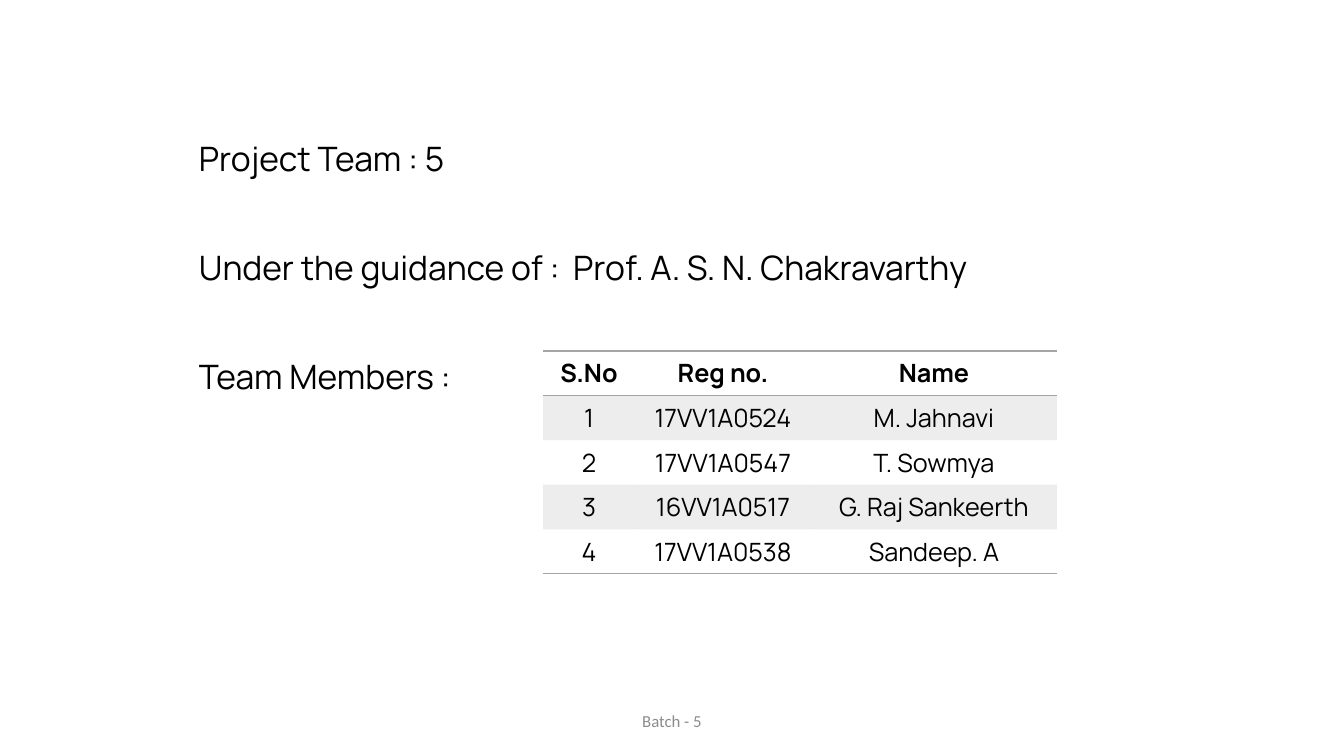
from lxml import etree
from pptx import Presentation
from pptx.dml.color import RGBColor
from pptx.enum.text import MSO_ANCHOR, PP_ALIGN
from pptx.oxml.ns import qn
from pptx.util import Pt

LEFT, CENTER = PP_ALIGN.LEFT, PP_ALIGN.CENTER
TOP, MIDDLE = MSO_ANCHOR.TOP, MSO_ANCHOR.MIDDLE
SCALE = 914400 / 100.8
COLORS = {"text": "000000", "rule": "A5A5A5", "footer": "8C8C8C"}
BAND_ALPHA = 20000
RULE_WIDTH = Pt(1)

DETAILS = [
    "Project Team : 5",
    "Under the guidance of :  Prof. A. S. N. Chakravarthy",
    "Team Members :",
]
MEMBERS = [
    ("S.No", "Reg no.", "Name"),
    ("1", "17VV1A0524", "M. Jahnavi"),
    ("2", "17VV1A0547", "T. Sowmya"),
    ("3", "16VV1A0517", "G. Raj Sankeerth"),
    ("4", "17VV1A0538", "Sandeep. A"),
]


def px(n):
    return round(n * SCALE)


def write(tf, text, size=24, font="Manrope", color="text", bold=False, align=LEFT):
    p = tf.paragraphs[0]
    p.alignment = align
    r = p.add_run()
    r.text = text
    r.font.size, r.font.name, r.font.bold = Pt(size), font, bold
    r.font.color.rgb = RGBColor.from_string(COLORS[color])


def text_box(s, box, text, anchor=TOP, **fmt):
    tf = s.shapes.add_textbox(*map(px, box)).text_frame
    tf.word_wrap = True
    tf.vertical_anchor = anchor
    write(tf, text, **fmt)


def set_borders(cell, ruled):
    tcPr = cell._tc.get_or_add_tcPr()
    for i, side in enumerate(("lnL", "lnR", "lnT", "lnB")):
        ln = etree.Element(qn("a:" + side))
        if side in ruled:
            ln.set("w", str(RULE_WIDTH))
            fill = etree.SubElement(ln, qn("a:solidFill"))
            etree.SubElement(fill, qn("a:srgbClr"), val=COLORS["rule"])
        else:
            etree.SubElement(ln, qn("a:noFill"))
        tcPr.insert(i, ln)


def set_band(cell, banded):
    if not banded:
        cell.fill.background()
        return
    cell.fill.solid()
    cell.fill.fore_color.rgb = RGBColor.from_string(COLORS["rule"])
    clr = cell._tc.tcPr.find(qn("a:solidFill")).find(qn("a:srgbClr"))
    etree.SubElement(clr, qn("a:alpha"), val=str(BAND_ALPHA))


def project_details(s, x, y, step, widths):
    for i, (text, w) in enumerate(zip(DETAILS, widths)):
        text_box(s, (x, y + i * step, w, 50), text)


def member_table(s, x, y, col_widths, row_h):
    last = len(MEMBERS) - 1
    box = (x, y, sum(col_widths), row_h * len(MEMBERS))
    table = s.shapes.add_table(len(MEMBERS), len(col_widths), *map(px, box)).table
    table.first_row = table.horz_banding = False
    for col, w in zip(table.columns, col_widths):
        col.width = px(w)
    for i, values in enumerate(MEMBERS):
        table.rows[i].height = px(row_h)
        ruled = {0: ("lnT", "lnB"), 1: ("lnT",), last: ("lnB",)}.get(i, ())
        for j, value in enumerate(values):
            cell = table.cell(i, j)
            cell.vertical_anchor = MIDDLE
            write(cell.text_frame, value, size=18, bold=i == 0, align=CENTER)
            set_band(cell, i % 2 == 1)
            set_borders(cell, ruled)


def footer(s, box):
    text_box(s, box, "Batch - 5", anchor=MIDDLE, size=12, font="Calibri",
             color="footer", align=CENTER)


prs = Presentation()
prs.slide_width, prs.slide_height = px(1344), px(756)
s = prs.slides.add_slide(prs.slide_layouts[6])

# Team roster, project details, batch footer
member_table(s, 543, 351, (92, 176, 246), 41)
project_details(s, 189, 133, 109, (290, 862, 311))
footer(s, (445, 701, 454, 40))

prs.save("out.pptx")
